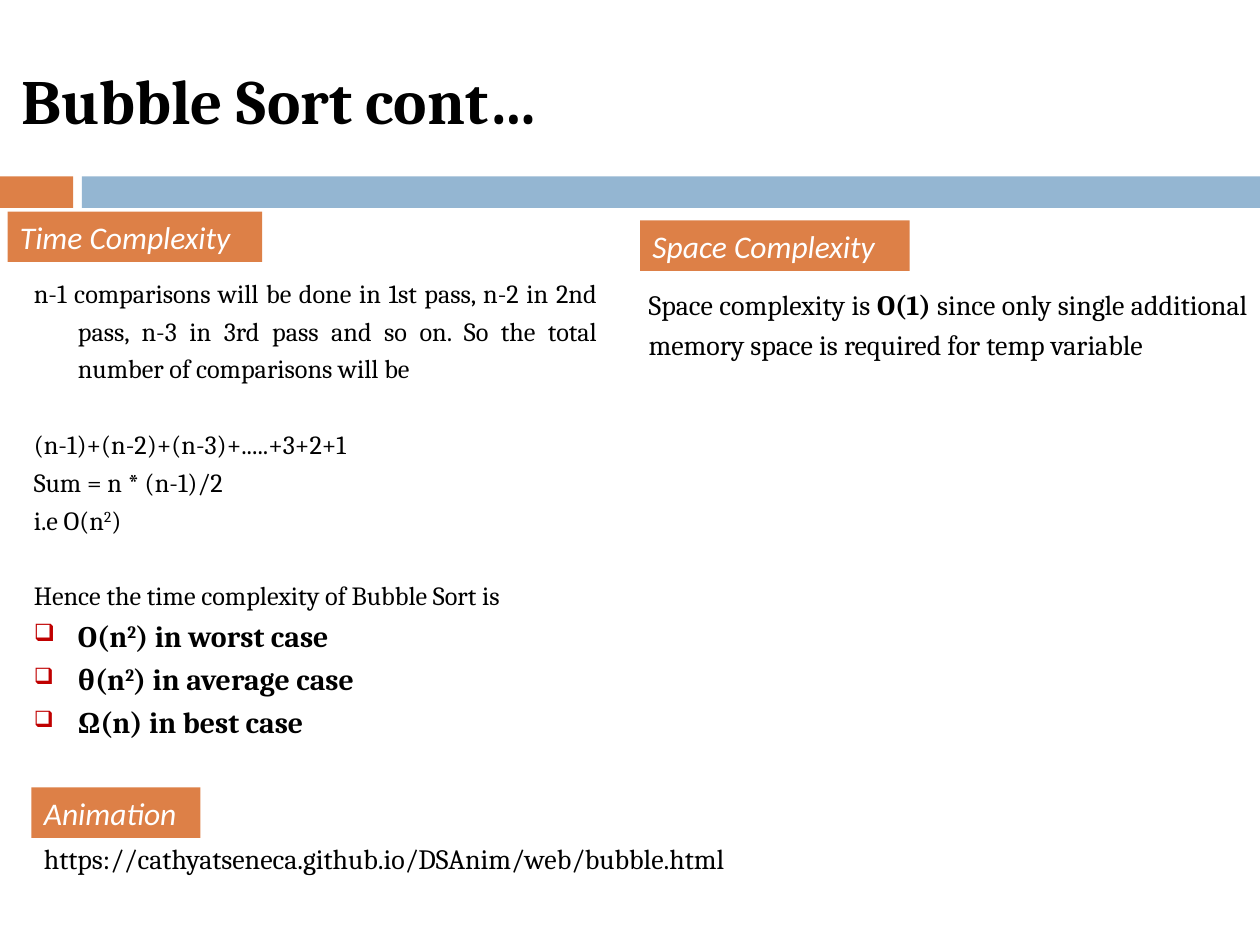
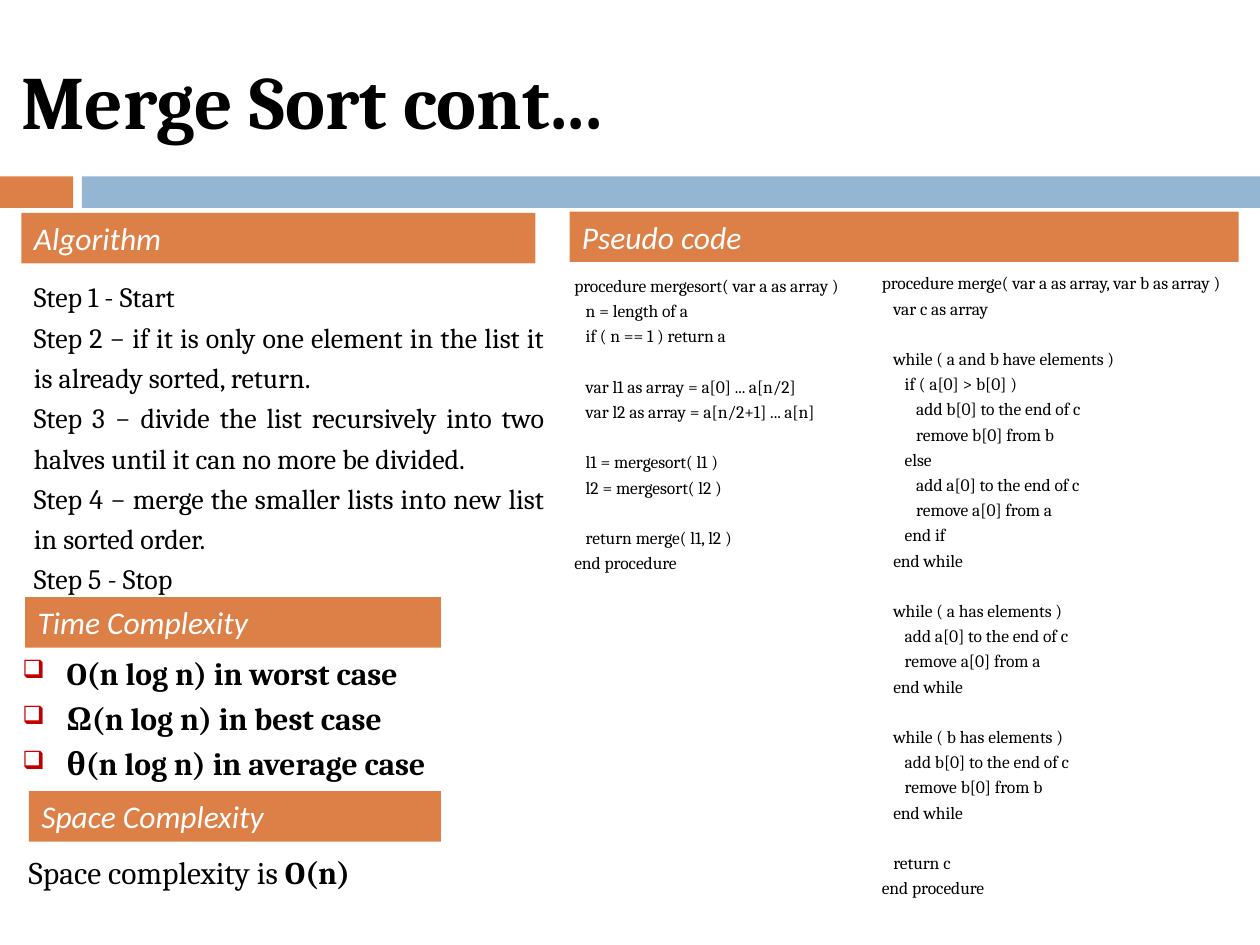
from lxml.etree import SubElement
from pptx import Presentation
from pptx.dml.color import RGBColor
from pptx.enum.shapes import MSO_SHAPE
from pptx.enum.text import MSO_ANCHOR, PP_ALIGN
from pptx.oxml.ns import qn
from pptx.util import Inches, Pt

COLS, ROWS = 100, 75
CELL = Inches(0.1)
HANG = Inches(0.35)
LEAD = 1.44  # height of one line at 1.2 spacing, per point of text size

HUES = {"orange": "DD8047", "blue": "94B6D2", "ink": "000000",
        "paper": "FFFFFF", "mark": "C00000"}

# Bands and boxes are (left, top, width, height) in grid cells.
BANDS = [("orange", (0, 14, 5.8, 2.5)), ("blue", (6.5, 14, 93.5, 2.5))]
TITLE = (0.7, 2.5, 89.2, 10.8)

FONTS = {
    "title": {"name": "Cambria", "bold": True},
    "label": {"name": "Calibri", "italic": True, "size": Pt(18)},
    "body": {"name": "Cambria"},
    "list": {"name": "Cambria", "bold": True},
}
BOLD = {"bold": True}
SMALL = {"size": Pt(16)}
UP = {"raise": 30}

SPLIT = """\
procedure mergesort( var a as array )
   n = length of a
   if ( n == 1 ) return a

   var l1 as array = a[0] ... a[n/2]
   var l2 as array = a[n/2+1] ... a[n]

   l1 = mergesort( l1 )
   l2 = mergesort( l2 )

   return merge( l1, l2 )
end procedure"""

MERGE = """\
procedure merge( var a as array, var b as array )
   var c as array

   while ( a and b have elements )
      if ( a[0] > b[0] )
         add b[0] to the end of c
         remove b[0] from b
      else
         add a[0] to the end of c
         remove a[0] from a
      end if
   end while

   while ( a has elements )
      add a[0] to the end of c
      remove a[0] from a
   end while

   while ( b has elements )
      add b[0] to the end of c
      remove b[0] from b
   end while

   return c
end procedure"""

# A line is a string or a list of runs; a run is a string or (text, format).
# An empty line becomes space before the next one.
PROOF = [
    "n-1 comparisons will be done in 1st pass, n-2 in 2nd pass, n-3 in 3rd "
    "pass and so on. So the total number of comparisons will be",
    "",
    "(n-1)+(n-2)+(n-3)+.....+3+2+1",
    "Sum = n * (n-1)/2",
    ["i.e O(n", ("2", UP), ")"],
    "",
    "Hence the time complexity of Bubble Sort is",
]
CASES = [
    ["O(n", ("2", UP), ") in worst case"],
    [("θ", SMALL), "(n", ("2", UP), ") in average case"],
    [("Ω", SMALL), "(n) in best case"],
]
STEPS = [
    "Step 1 - Start",
    "Step 2 − if it is only one element in the list it is already sorted, return.",
    "Step 3 − divide the list recursively into two halves until it can no more be divided.",
    "Step 4 − merge the smaller lists into new list in sorted order.",
    "Step 5 - Stop",
]
SPEEDS = ["O(n log n) in worst case", "Ω(n log n) in best case",
          "θ(n log n) in average case"]
ROOM = ["Space complexity is ", ("O(1) ", BOLD),
        "since only single additional memory space is required for temp variable"]

# Each text box holds groups of (kind, size, lines).
DECK = [
    {
        "title": ("Bubble Sort cont…", 36),
        "labels": [
            ("Time Complexity", (0.6, 16.8, 20.2, 4)),
            ("Space Complexity", (50.8, 17.5, 21.4, 4)),
            ("Animation", (2.5, 62.5, 13.4, 4)),
        ],
        "texts": [
            ((1.7, 21, 46.7, 38.2), [("hang", 15, PROOF), ("list", 17, CASES)]),
            ((50.5, 21.8, 49.5, 7.4), [("body", 16, [ROOM])]),
            ((2.5, 65.8, 60, 4.2), [("body", 16, [
                "https://cathyatseneca.github.io/DSAnim/web/bubble.html"])]),
        ],
    },
    {
        "title": ("Merge Sort cont...", 43),
        "labels": [
            ("Algorithm", (1.7, 16.9, 40.8, 4)),
            ("Time Complexity", (2, 47.4, 33, 4)),
            ("Space Complexity", (2.3, 62.8, 32.7, 4)),
            ("Pseudo code", (45.2, 16.8, 53.1, 4)),
        ],
        "texts": [
            ((1.7, 21.2, 42.5, 26.6), [("body", 16, STEPS)]),
            ((0.8, 50.8, 35, 11.8), [("list", 18, SPEEDS)]),
            ((1.3, 66.6, 38.3, 4.6), [("body", 18, [
                ["Space complexity is ", ("O(n)", BOLD)]])]),
            ((44.6, 21, 25.4, 27), [("code", 10, SPLIT.split("\n"))]),
            ((69, 20.8, 30.8, 51), [("code", 10, MERGE.split("\n"))]),
        ],
    },
]


def place(box):
    return [round(n * CELL) for n in box]


def tint(hue):
    return RGBColor.from_string(HUES[hue])


def style(font, form, hue):
    for key, val in form.items():
        setattr(font, key, val)
    font.color.rgb = tint(hue)


def block(slide, hue, box):
    shape = slide.shapes.add_shape(MSO_SHAPE.RECTANGLE, *place(box))
    shape.shadow.inherit = False
    shape.fill.solid()
    shape.fill.fore_color.rgb = tint(hue)
    shape.line.fill.background()
    return shape


def write(para, line, form, hue="ink"):
    for part in [line] if isinstance(line, str) else line:
        text, extra = (part, {}) if isinstance(part, str) else part
        run = para.add_run()
        run.text = text
        look = {**form, **extra}
        lift = look.pop("raise", 0)
        style(run.font, look, hue)
        if lift:
            run.font._element.set("baseline", str(lift * 1000))


def indent(para, marked):
    """Hang the first line, with a box bullet if marked."""
    props = para._p.get_or_add_pPr()
    props.set("marL", str(HANG))
    props.set("indent", str(-HANG))
    if marked:
        color = SubElement(props, qn("a:buClr"))
        SubElement(color, qn("a:srgbClr"), val=HUES["mark"])
        SubElement(props, qn("a:buSzPct"), val="80000")
        SubElement(props, qn("a:buChar"), char="❑")


def frame(slide, box):
    text = slide.shapes.add_textbox(*place(box)).text_frame
    text.word_wrap = True
    return text


def head(slide, words, size):
    text = frame(slide, TITLE)
    text.vertical_anchor = MSO_ANCHOR.MIDDLE
    write(text.paragraphs[0], words, {**FONTS["title"], "size": Pt(size)})


def label(slide, words, box):
    text = block(slide, "orange", box).text_frame
    text.word_wrap = True
    text.vertical_anchor = MSO_ANCHOR.TOP
    para = text.paragraphs[0]
    para.alignment = PP_ALIGN.LEFT
    write(para, words, FONTS["label"], "paper")


def fill(slide, box, groups):
    text = frame(slide, box)
    para, gap = text.paragraphs[0], 0
    for kind, size, lines in groups:
        form = {**FONTS.get(kind, FONTS["body"]), "size": Pt(size)}
        flush = kind in ("list", "code")
        for line in lines:
            if not line:
                gap += size * LEAD
                continue
            para = para or text.add_paragraph()
            if kind in ("hang", "list"):
                indent(para, kind == "list")
            para.alignment = PP_ALIGN.LEFT if flush else PP_ALIGN.JUSTIFY
            para.line_spacing = 1.2
            if gap:
                para.space_before = Pt(gap)
            write(para, line, form)
            para, gap = None, 0


def main():
    deck = Presentation()
    deck.slide_width, deck.slide_height = COLS * CELL, ROWS * CELL
    for page in DECK:
        slide = deck.slides.add_slide(deck.slide_layouts[6])
        for hue, box in BANDS:
            block(slide, hue, box)
        head(slide, *page["title"])
        for words, box in page["labels"]:
            label(slide, words, box)
        for box, groups in page["texts"]:
            fill(slide, box, groups)
    deck.save("out.pptx")


if __name__ == "__main__":
    main()
